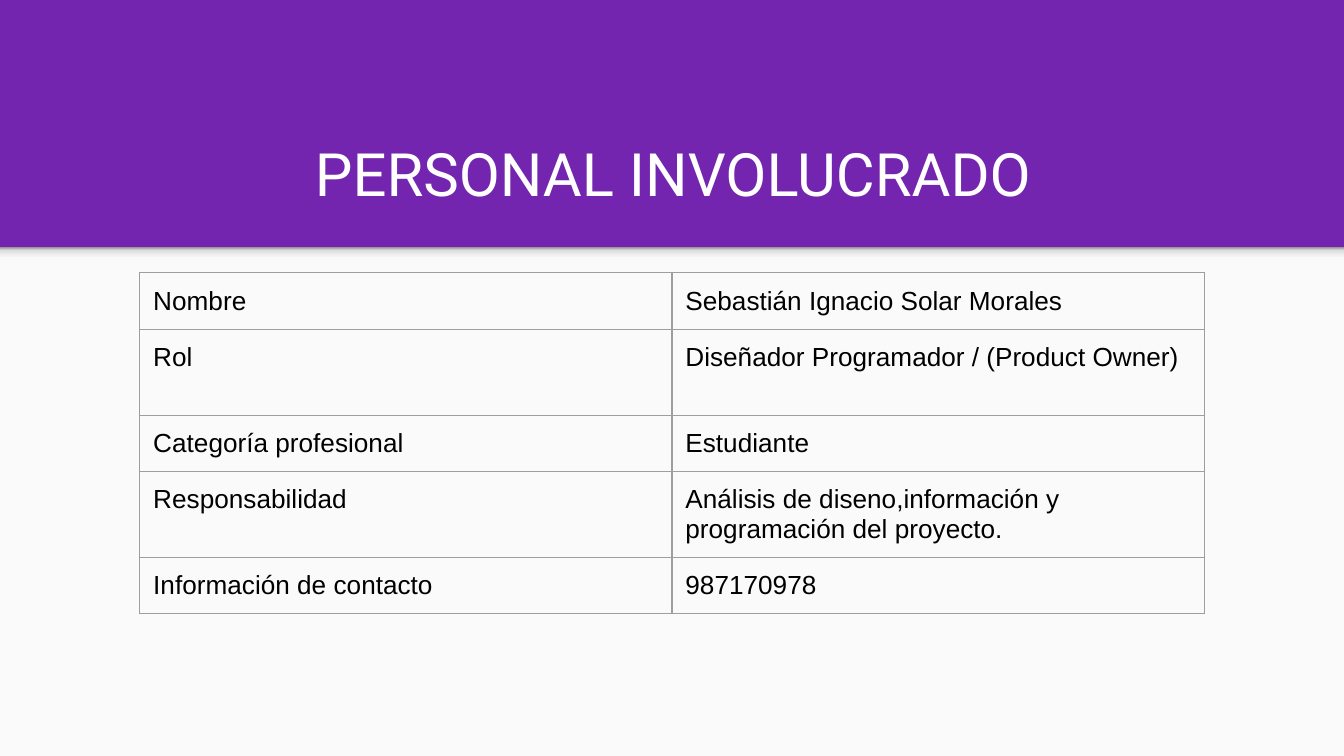
from pptx import Presentation
from pptx.dml.color import RGBColor as RGB
from pptx.enum.shapes import MSO_SHAPE as Shape
from pptx.enum.text import MSO_ANCHOR as Anchor, MSO_AUTO_SIZE as Fit, PP_ALIGN as Align
from pptx.oxml.ns import qn
from pptx.util import Inches, Pt
from lxml.etree import SubElement as Sub

theme = {
    "back": "7325AF",
    "panel": "FAFAFA",
    "line": "9E9E9E",
    "shade": [(0, "F9F9F9"), (36, "F9F9F9"), (80, "DEDEDE"), (100, "999999")],
    "title": {"name": "Roboto", "size": Pt(32), "bold": False},
    "cell": {"name": "Arial", "size": Pt(14), "bold": False},
    "title_ink": "FFFFFF",
    "cell_ink": "000000",
}
pad = {f"margin_{side}": Inches(0.1) for side in ("left", "right", "top", "bottom")}


def apply(item, values):
    for key, value in values.items():
        setattr(item, key, value)


def write(para, text, kind):
    run = para.add_run()
    run.text = text
    apply(run.font, theme[kind])
    run.font.color.rgb = RGB.from_string(theme[f"{kind}_ink"])


deck = Presentation()
wide = Inches(10)
apply(deck, {"slide_width": wide, "slide_height": wide * 9 // 16})
slide = deck.slides.add_slide(deck.slide_layouts[5])
slide.background.fill.solid()
slide.background.fill.fore_color.rgb = RGB.from_string(theme["back"])

top = Inches(1.84)
bands = []
for high in (deck.slide_height - top, Inches(0.12)):
    band = slide.shapes.add_shape(Shape.RECTANGLE, 0, top, wide, high)
    band.shadow.inherit = False
    band.line.fill.background()
    bands.append(band)
panel, shade = bands
panel.fill.solid()
panel.fill.fore_color.rgb = RGB.from_string(theme["panel"])

shade.fill.gradient()
shade.fill.gradient_angle = 90
stops = shade.element.spPr.find(".//" + qn("a:gsLst"))
for stop in list(stops):
    stops.remove(stop)
for spot, tone in theme["shade"]:
    stop = Sub(stops, qn("a:gs"), pos=str(spot * 1000))
    Sub(stop, qn("a:srgbClr"), val=tone)

rows = [
    ("Nombre", "Sebastián Ignacio Solar Morales", 0.42),
    ("Rol", "Diseñador Programador / (Product Owner)", 0.64),
    ("Categoría profesional", "Estudiante", 0.42),
    ("Responsabilidad", "Análisis de diseno,información y programación del proyecto.", 0.63),
    ("Información de contacto", "987170978", 0.42),
]
total = sum(row[-1] for row in rows)
frame = slide.shapes.add_table(len(rows), 2, Inches(1.04), Inches(2.03), Inches(7.92), Inches(total))
table = frame.table
apply(table, {"first_row": False, "horz_banding": False})
for row, (*texts, high) in zip(table.rows, rows):
    row.height = Inches(high)
    for cell, text in zip(row.cells, texts):
        apply(cell, pad)
        write(cell.text_frame.paragraphs[0], text, "cell")
        props = cell._tc.get_or_add_tcPr()
        for side in ("L", "R", "T", "B"):
            edge = Sub(props, qn(f"a:ln{side}"), w=str(Pt(0.75)))
            fill = Sub(edge, qn("a:solidFill"))
            Sub(fill, qn("a:srgbClr"), val=theme["line"])
        cell.fill.background()

title = slide.shapes.title
apply(title, {"left": Inches(0.52), "top": Inches(0.81), "width": Inches(8.98), "height": Inches(0.84)})
body = title.text_frame
apply(body, {**pad, "word_wrap": True, "auto_size": Fit.NONE, "vertical_anchor": Anchor.BOTTOM})
head = body.paragraphs[0]
head.alignment = Align.CENTER
write(head, "PERSONAL INVOLUCRADO", "title")

deck.save("out.pptx")
